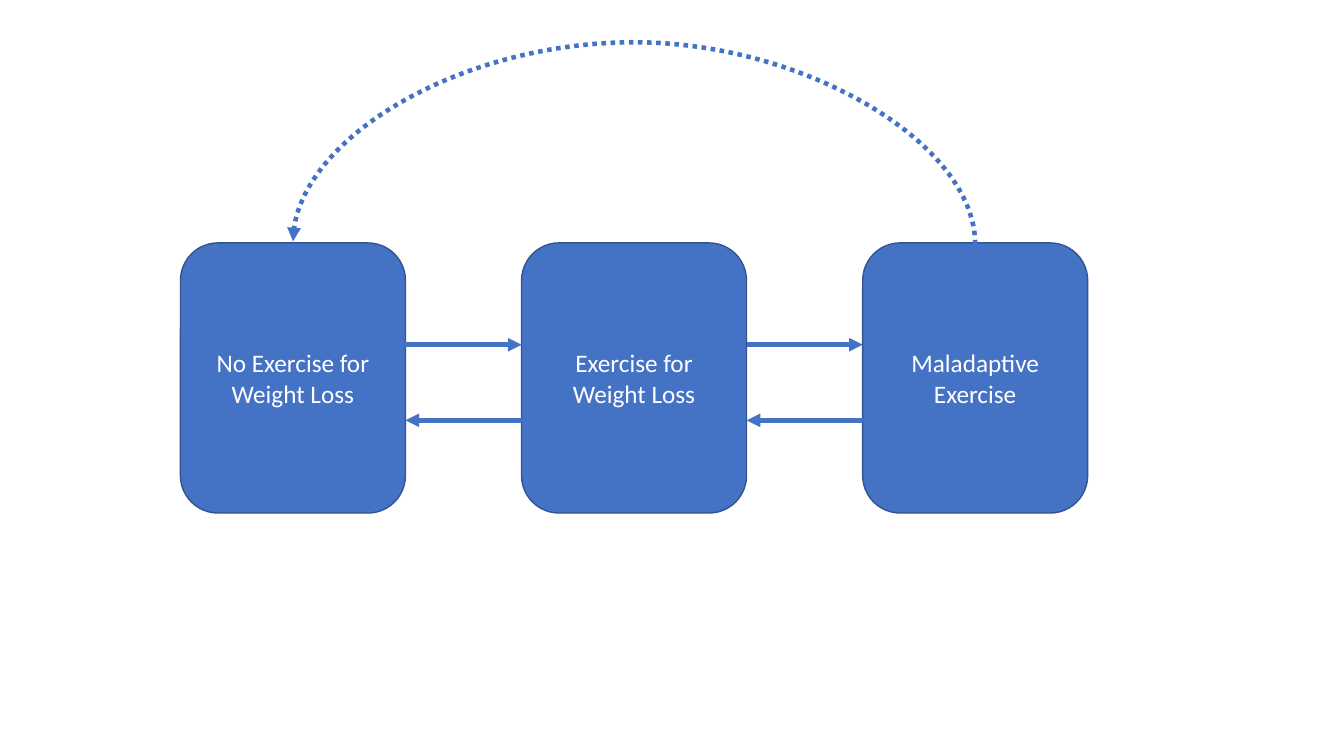
from lxml.etree import SubElement
from pptx import Presentation
from pptx.dml.color import RGBColor
from pptx.enum.dml import MSO_LINE
from pptx.enum.shapes import MSO_CONNECTOR as CONN, MSO_SHAPE as SHAPE
from pptx.enum.text import MSO_ANCHOR, PP_ALIGN
from pptx.oxml.ns import qn
from pptx.util import Inches, Pt

BLUE = RGBColor(0x44, 0x72, 0xC4)
EDGE = RGBColor(0x32, 0x54, 0x91)
WHITE = RGBColor(0xFF, 0xFF, 0xFF)
FONT = "Calibri"
STATES = ["No Exercise for Weight Loss", "Exercise for Weight Loss", "Maladaptive Exercise"]


def add_state(s, text, x, y, w, h):
    """Draw one rounded state box with centred text."""
    sp = s.shapes.add_shape(SHAPE.ROUNDED_RECTANGLE, x, y, w, h)
    sp.shadow.inherit = False
    sp.fill.solid()
    sp.fill.fore_color.rgb = BLUE
    sp.line.color.rgb = EDGE
    sp.line.width = Pt(1)
    tf = sp.text_frame
    tf.word_wrap = True
    tf.vertical_anchor = MSO_ANCHOR.MIDDLE
    tf.text = text
    p = tf.paragraphs[0]
    p.alignment = PP_ALIGN.CENTER
    font = p.runs[0].font
    font.name, font.size, font.color.rgb = FONT, Pt(18), WHITE


def add_arrow(s, kind, x1, y1, x2, y2, dash=None):
    """Draw a connector with a triangle at its end and return it."""
    c = s.shapes.add_connector(kind, *map(int, (x1, y1, x2, y2)))
    c.line.color.rgb = BLUE
    c.line.width = Pt(3.25)
    if dash:
        c.line.dash_style = dash
    props = c._element.spPr
    SubElement(props.find(qn("a:ln")), qn("a:tailEnd"), type="triangle")
    SubElement(props, qn("a:effectLst"))
    return c


def add_return_arc(s, x_from, x_to, y, rise):
    """Draw the dotted arc that leaves x_from, climbs by rise and lands on x_to."""
    # The connector is laid out upright, then turned a quarter to the left.
    depth, span = Inches(0.03), x_from - x_to
    cx = (x_from + x_to) / 2
    c = add_arrow(s, CONN.CURVE, cx - depth / 2, y + span / 2,
                  cx + depth / 2, y - span / 2, MSO_LINE.ROUND_DOT)
    props = c._element.spPr
    props.find(qn("a:xfrm")).set("rot", str(270 * 60000))
    guides = props.find(qn("a:prstGeom")).find(qn("a:avLst"))
    SubElement(guides, qn("a:gd"), name="adj1", fmla=f"val {round(rise / depth * 100000)}")


def add_cycle(s, x, y, w, h, rise):
    """Place the states in equal columns with arrows both ways and an arc back."""
    box_w = w * 0.248
    step = (w - box_w) / (len(STATES) - 1)
    lefts = [x + i * step for i in range(len(STATES))]
    for text, left in zip(STATES, lefts):
        add_state(s, text, int(left), int(y), int(box_w), int(h))
    forward_y, back_y = y + h * 0.377, y + h * 0.657
    for left, following in zip(lefts, lefts[1:]):
        right = left + box_w
        add_arrow(s, CONN.STRAIGHT, right, forward_y, following, forward_y)
        add_arrow(s, CONN.STRAIGHT, following, back_y, right, back_y)
    add_return_arc(s, lefts[-1] + box_w / 2, lefts[0] + box_w / 2, y, rise)


prs = Presentation()
prs.slide_width, prs.slide_height = Inches(13.33), Inches(7.5)
W, H = prs.slide_width, prs.slide_height
s = prs.slides.add_slide(prs.slide_layouts[6])
add_cycle(s, W * 0.1343, H * 0.3213, W * 0.675, H * 0.3573, H * 0.268)
prs.save("out.pptx")
